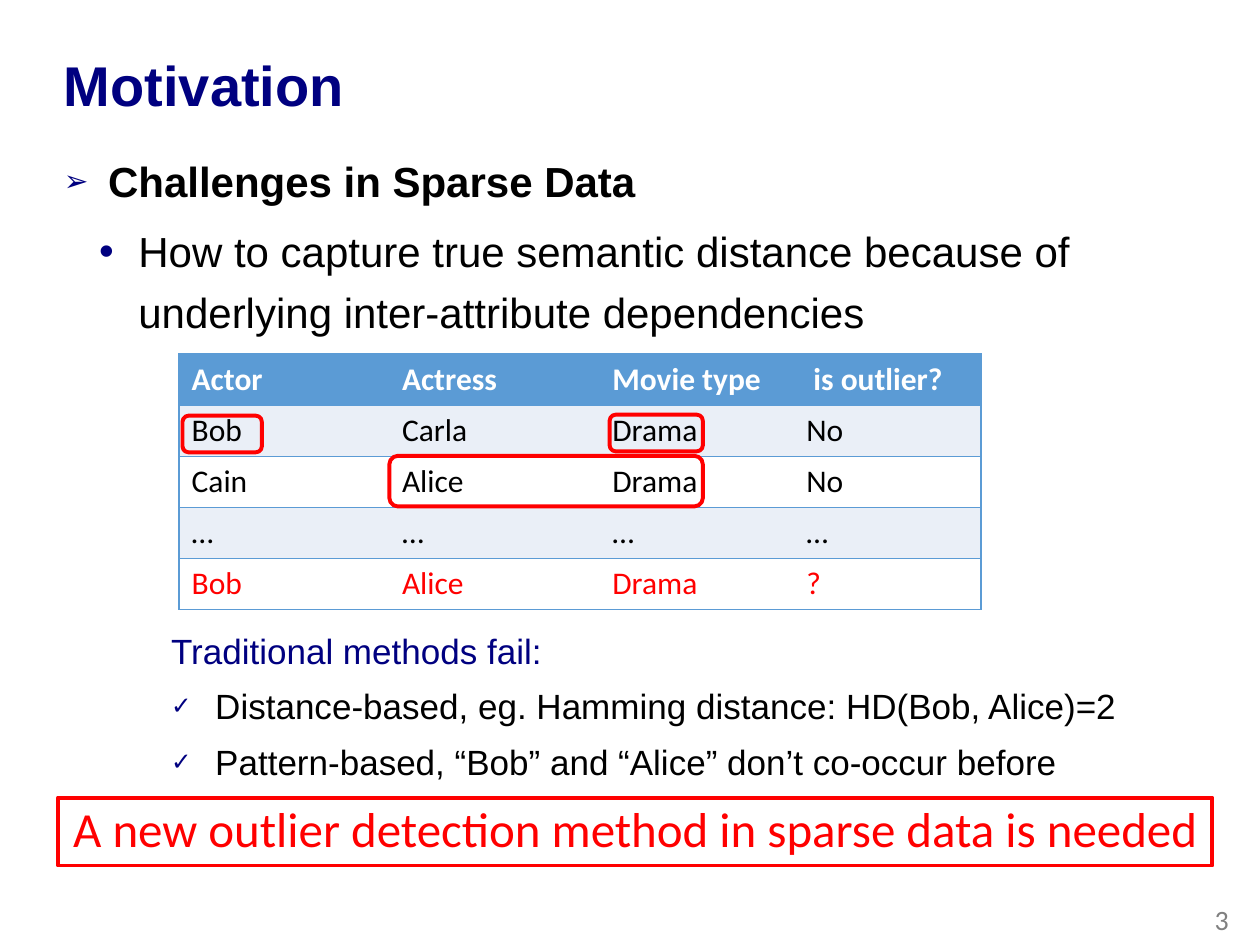
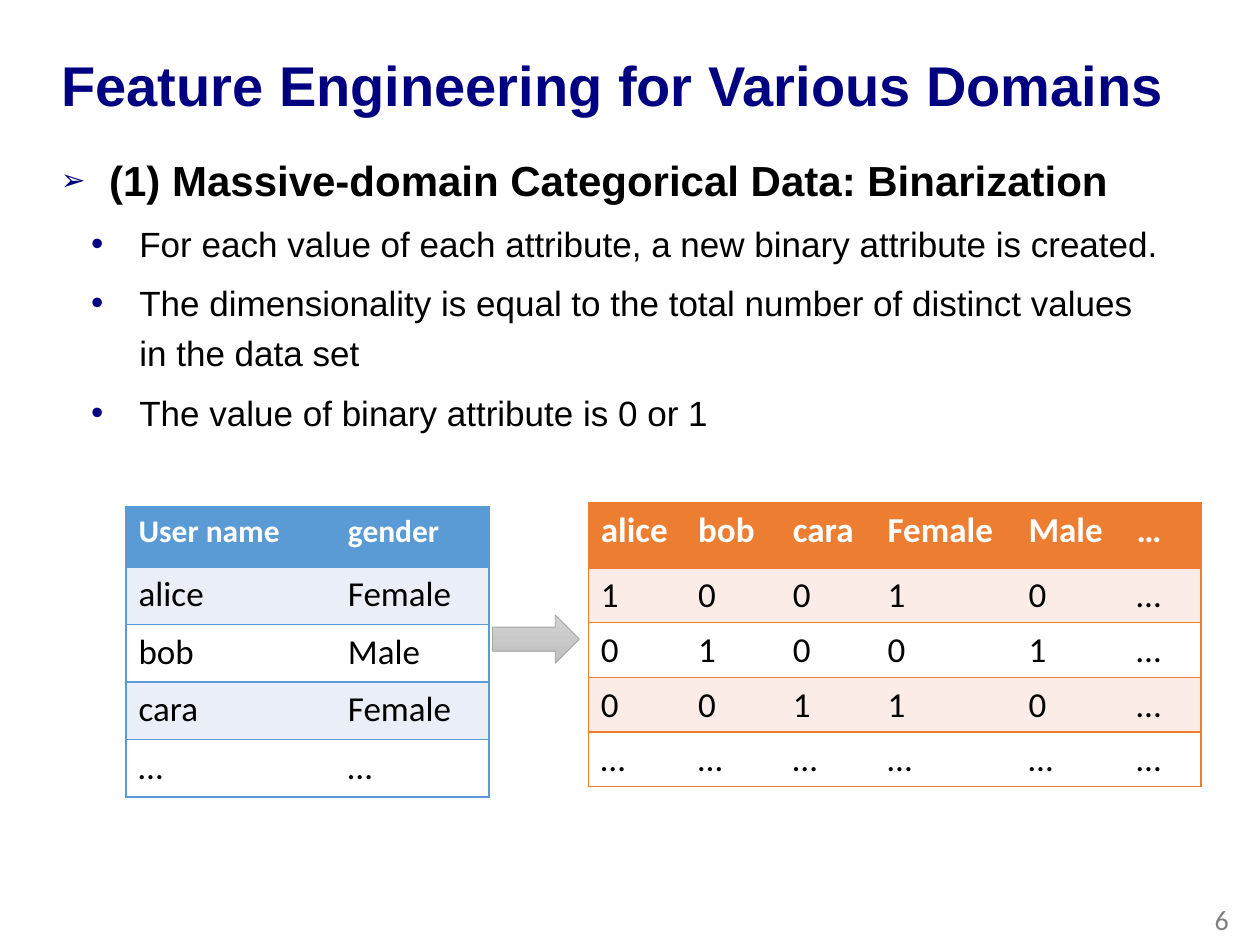
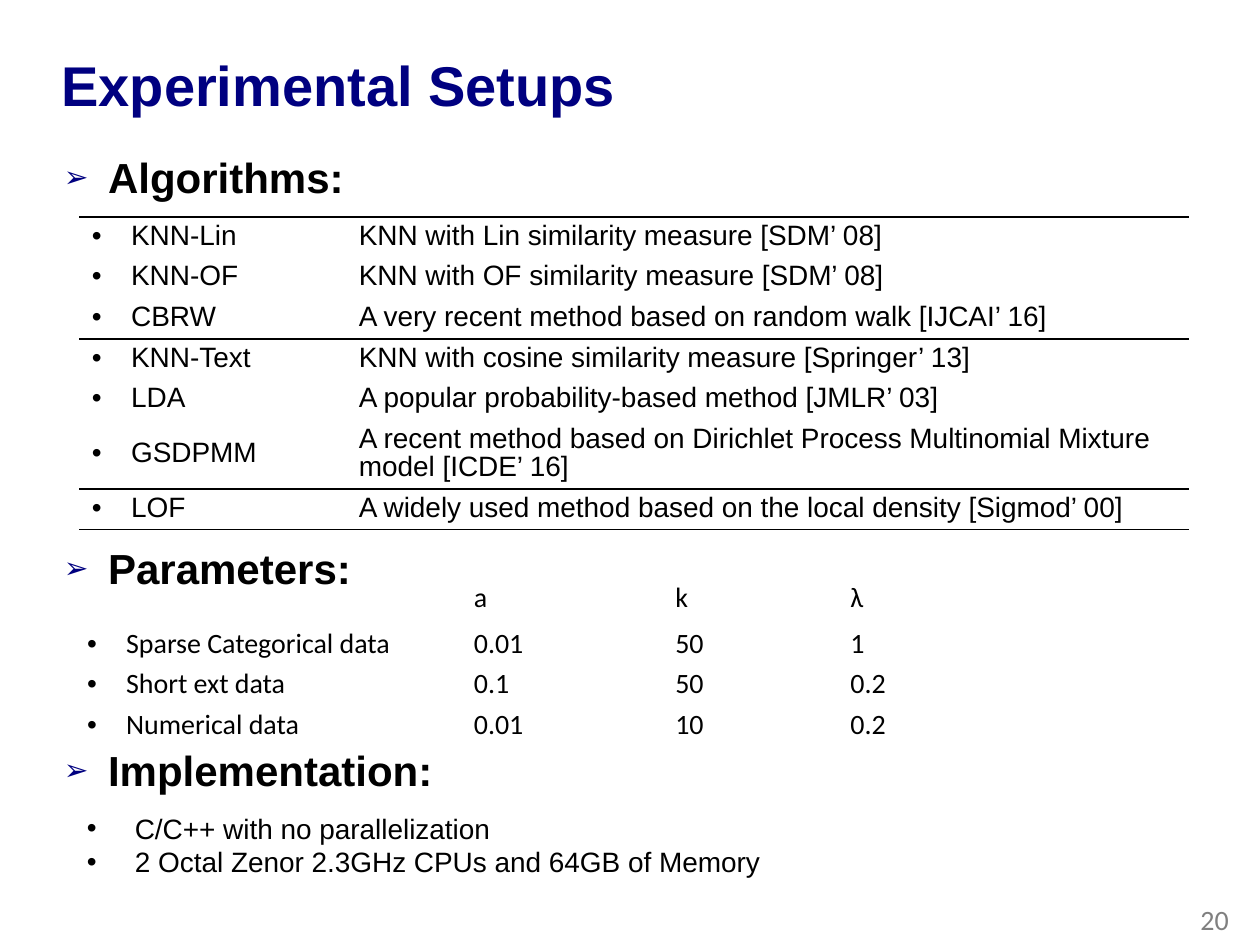
"""Build three slides on outlier detection in sparse data."""
import pptx
import pptx.util
import pptx.dml.color
import pptx.enum.shapes
import pptx.enum.text
import pptx.oxml
import pptx.oxml.ns

Cm = pptx.util.Cm
Pt = pptx.util.Pt
SHAPE = pptx.enum.shapes.MSO_SHAPE
ALIGN = pptx.enum.text.PP_ALIGN
MIDDLE = pptx.enum.text.MSO_ANCHOR.MIDDLE
TOP = pptx.enum.text.MSO_ANCHOR.TOP

COLORS = {
    "navy": "000080", "black": "000000", "white": "FFFFFF", "red": "FF0000",
    "gray": "808080", "blue": "5B9BD5", "blue_band": "EAEFF7",
    "orange": "ED7D31", "orange_band": "FCECE8", "arrow_line": "A5A5A5",
    "arrow_light": "D2D2D2", "arrow_dark": "C0C0C0",
}


def style(name, size, color="black", bold=False, bullet=None, **para):
    return {"font": {"name": name, "size": Pt(size), "bold": bold},
            "color": color, "bullet": bullet, "para": para}


def bullet(char, left, hang, color=None, percent=100):
    return {"char": char, "left": left, "hang": hang, "color": color, "percent": percent}


ARROW = bullet("➢", 0.89, 0.89, "navy", 70)
CHECK = bullet("✓", 0.89, 0.89, "navy", 70)
LOOSE = {"line_spacing": 0.9, "space_before": Pt(10)}
WIDE = {"line_spacing": 1.2, "space_before": Pt(5)}
EXACT = {"line_spacing": Pt(16)}

STYLES = {
    "title": style("Arial", 32, "navy", True, line_spacing=0.9),
    "page": style("Calibri", 16, "gray", alignment=ALIGN.RIGHT),
    "head": style("Arial", 24, bold=True, bullet=ARROW, **LOOSE),
    "head_wide": style("Arial", 24, bold=True,
                       bullet=bullet("➢", 1.04, 0.97, "navy", 70), **LOOSE),
    "question": style("Arial", 24, bullet=bullet("•", 1.5, 0.79, "navy"), **WIDE),
    "point": style("Arial", 20, bullet=bullet("•", 1.65, 0.97, "navy"), **WIDE),
    "lead": style("Arial", 20, "navy", **LOOSE),
    "check": style("Arial", 20, bullet=CHECK, **LOOSE),
    "item": style("Arial", 16, bullet=bullet("•", 0.97, 0.97)),
    "callout": style("Calibri", 28, "red", alignment=ALIGN.CENTER, line_spacing=0.9),
    "th18": style("Calibri", 18, "white", True),
    "th20": style("Calibri", 20, "white", True),
    "td18": style("Calibri", 18),
    "td18_red": style("Calibri", 18, "red"),
    "td20": style("Calibri", 20),
    "method": style("Arial", 16, bullet=bullet("•", 0.79, 0.79), **EXACT),
    "method_text": style("Arial", 16, **EXACT),
    "setting": style("Calibri", 16, bullet=bullet("•", 0.79, 0.79), **EXACT),
    "value": style("Calibri", 16, **EXACT),
}


def rgb(color):
    return pptx.dml.color.RGBColor.from_string(COLORS[color])


def add_xml(parent, xml):
    head, tail = xml.split(">", 1) if not xml.split(">", 1)[0].endswith("/") else (xml[:-2], "/>")
    sep = "" if tail == "/>" else ">"
    parent.append(pptx.oxml.parse_xml(f"{head} {pptx.oxml.ns.nsdecls('a')}{sep}{tail}"))


class Deck:
    """Holds the presentation, its style and the current slide."""

    def __init__(self):
        self.prs = pptx.Presentation()
        self.prs.slide_width, self.prs.slide_height = Cm(25.4), Cm(19.05)

    def slide(self, title, number, left=0.99):
        self.s = self.prs.slides.add_slide(self.prs.slide_layouts[6])
        self.text((left, 0.53, 23.98, 2.51), [(title, "title")], MIDDLE)
        self.text((19.3, 18.03, 5.72, 1.02), [(number, "page")], MIDDLE)

    def paragraph(self, p, text, name, first=True):
        st = STYLES[name]
        b = st["bullet"]
        if b:
            pPr = p._p.get_or_add_pPr()
            pPr.set("marL", str(Cm(b["left"])))
            pPr.set("indent", str(-Cm(b["hang"])))
            if b["color"]:
                add_xml(pPr, f'<a:buClr><a:srgbClr val="{COLORS[b["color"]]}"/></a:buClr>')
            add_xml(pPr, f'<a:buSzPct val="{b["percent"] * 1000}"/>')
            add_xml(pPr, '<a:buFont typeface="Arial"/>')
            add_xml(pPr, f'<a:buChar char="{b["char"]}"/>')
        for key, value in st["para"].items():
            if not (first and key == "space_before"):
                setattr(p, key, value)
        r = p.add_run()
        r.text = text
        for key, value in st["font"].items():
            setattr(r.font, key, value)
        r.font.color.rgb = rgb(st["color"])

    def fill_text(self, tf, lines, anchor):
        tf.word_wrap = True
        tf.vertical_anchor = anchor
        for i, (text, name) in enumerate(lines):
            p = tf.add_paragraph() if i else tf.paragraphs[0]
            self.paragraph(p, text, name, i == 0)

    def text(self, at, lines, anchor=TOP):
        sp = self.s.shapes.add_textbox(*map(Cm, at))
        self.fill_text(sp.text_frame, lines, anchor)

    def shape(self, kind, at, line, width, fill=None, lines=()):
        sp = self.s.shapes.add_shape(kind, *map(Cm, at))
        sp.shadow.inherit = False
        sp.line.color.rgb = rgb(line)
        sp.line.width = Pt(width)
        if fill is None:
            sp.fill.background()
        elif isinstance(fill, tuple):
            sp.fill.gradient()
            sp.fill.gradient_angle = 270
            for stop, color in zip(sp.fill.gradient_stops, fill):
                stop.color.rgb = rgb(color)
        else:
            sp.fill.solid()
            sp.fill.fore_color.rgb = rgb(fill)
        if lines:
            self.fill_text(sp.text_frame, lines, MIDDLE)

    def table(self, at, cols, rows, data, name_of, line="black", rules=(),
              sides=False, fill_of=None, anchor=TOP):
        frame = self.s.shapes.add_table(len(rows), len(cols), *map(Cm, at),
                                        Cm(sum(cols)), Cm(sum(rows)))
        t = frame.table
        t.first_row = t.horz_banding = False
        for col, width in zip(t.columns, cols):
            col.width = Cm(width)
        for row, height in zip(t.rows, rows):
            row.height = Cm(height)
        for i, texts in enumerate(data):
            for j, text in enumerate(texts):
                cell = t.cell(i, j)
                cell.vertical_anchor = anchor
                self.paragraph(cell.text_frame.paragraphs[0], text, name_of(i, j))
                shown = {"L": sides and j == 0, "R": sides and j == len(cols) - 1,
                         "T": i in rules, "B": i + 1 in rules}
                self.borders(cell, shown, line)
                if fill_of:
                    cell.fill.solid()
                    cell.fill.fore_color.rgb = rgb(fill_of(i))
                else:
                    cell.fill.background()

    def borders(self, cell, shown, color):
        tcPr = cell._tc.get_or_add_tcPr()
        solid = f'<a:solidFill><a:srgbClr val="{COLORS[color]}"/></a:solidFill>'
        for side, visible in shown.items():
            paint = solid if visible else "<a:noFill/>"
            add_xml(tcPr, f'<a:ln{side} w="12700">{paint}</a:ln{side}>')

    def banded(self, at, cols, rows, data, color, name_of):
        def fill_of(i):
            return color if i == 0 else f"{color}_band" if i % 2 else "white"
        self.table(at, cols, rows, data, name_of, color, range(len(rows) + 1), True, fill_of)


def motivation(d):
    d.slide("Motivation", "3", 1.04)
    d.text((1.04, 2.95, 23.32, 4.14), [
        ("Challenges in Sparse Data", "head"),
        ("How to capture true semantic distance because of underlying "
         "inter-attribute dependencies", "question")], MIDDLE)
    movies = [
        ("Actor", "Actress", "Movie type", " is outlier?"),
        ("Bob", "Carla", "Drama", "No"),
        ("Cain", "Alice", "Drama", "No"),
        ("…",) * 4,
        ("Bob", "Alice", "Drama", "?"),
    ]
    names = ["th18", "td18", "td18", "td18", "td18_red"]
    d.banded((3.61, 7.14), [4.24, 4.24, 3.91, 3.78], [1.03] * 5, movies, "blue",
             lambda i, j: names[i])
    for mark in [(7.85, 9.19, 6.32, 1.02), (3.68, 8.38, 1.6, 0.74), (12.29, 8.36, 1.88, 0.74)]:
        d.shape(SHAPE.ROUNDED_RECTANGLE, mark, "red", 2.25)
    d.text((3.2, 12.52, 20.14, 3.53), [
        ("Traditional methods fail:", "lead"),
        ("Distance-based, eg. Hamming distance: HD(Bob, Alice)=2", "check"),
        ("Pattern-based, “Bob” and “Alice” don’t co-occur before", "check")], MIDDLE)
    d.shape(SHAPE.RECTANGLE, (1.17, 16.08, 23.27, 1.37), "red", 2.25, "white",
            [("A new outlier detection method in sparse data is needed", "callout")])


def features(d):
    d.slide("Feature Engineering for Various Domains", "6")
    users = [("User name", "gender"), ("alice", "Female"), ("bob", "Male"),
             ("cara", "Female"), ("…", "…")]
    d.banded((2.54, 10.21), [4.22, 3.1], [1.22] + [1.16] * 4, users, "blue",
             lambda i, j: "td20" if i else "th18")
    binary = [("alice", "bob", "cara", "Female", "Male", "…"),
              *("10010…", "01001…", "00110…", "…" * 6)]
    d.banded((11.86, 10.13), [1.96, 1.91, 1.91, 2.84, 2.18, 1.55], [1.32] + [1.1] * 4,
             binary, "orange", lambda i, j: "td20" if i else "th20")
    d.shape(SHAPE.RIGHT_ARROW, (9.93, 12.4, 1.75, 0.97), "arrow_line", 0.5,
            ("arrow_light", "arrow_dark"))
    d.text((0.91, 3.1, 22.91, 7.65), [
        ("(1) Massive-domain Categorical Data: Binarization", "head_wide"),
        ("For each value of each attribute, a new binary attribute is created.", "point"),
        ("The dimensionality is equal to the total number of distinct values "
         "in the data set", "point"),
        ("The value of binary attribute is 0 or 1", "point")])


def setups(d):
    d.slide("Experimental Setups", "20")
    methods = [
        ("KNN-Lin", "KNN with Lin similarity measure [SDM’ 08]"),
        ("KNN-OF", "KNN with OF similarity measure [SDM’ 08]"),
        ("CBRW", "A very recent method based on random walk [IJCAI’ 16]"),
        ("KNN-Text", "KNN with cosine similarity measure [Springer’ 13]"),
        ("LDA", "A popular probability-based method [JMLR’ 03]"),
        ("GSDPMM", "A recent method based on Dirichlet Process Multinomial Mixture "
                   "model [ICDE’ 16]"),
        ("LOF", "A widely used method based on the local density [Sigmod’ 00]"),
    ]
    d.table((1.6, 4.37), [5.38, 16.99], [0.82] * 5 + [1.38, 0.82], methods,
            lambda i, j: "method_text" if j else "method", rules=(0, 3, 6, 7), anchor=MIDDLE)
    d.text((1.5, 16.23, 20.88, 1.63), [
        ("C/C++ with no parallelization", "item"),
        ("2 Octal Zenor 2.3GHz CPUs and 64GB of Memory", "item")])
    settings = [
        ("", "a", "k", "λ"),
        ("Sparse Categorical data", "0.01", "50", "1"),
        ("Short ext data", "0.1", "50", "0.2"),
        ("Numerical data", "0.01", "10", "0.2"),
    ]
    d.table((1.5, 11.61), [7.8, 4.06, 3.53, 3.78], [0.84] + [0.82] * 3, settings,
            lambda i, j: "value" if j or not i else "setting", anchor=MIDDLE)
    for head, top in [("Algorithms:", 3.05), ("Parameters:", 10.92), ("Implementation:", 14.99)]:
        d.text((1.04, top, 23.32, 1.24), [(head, "head")])


def main():
    d = Deck()
    for build in (motivation, features, setups):
        build(d)
    d.prs.save("out.pptx")


if __name__ == "__main__":
    main()
